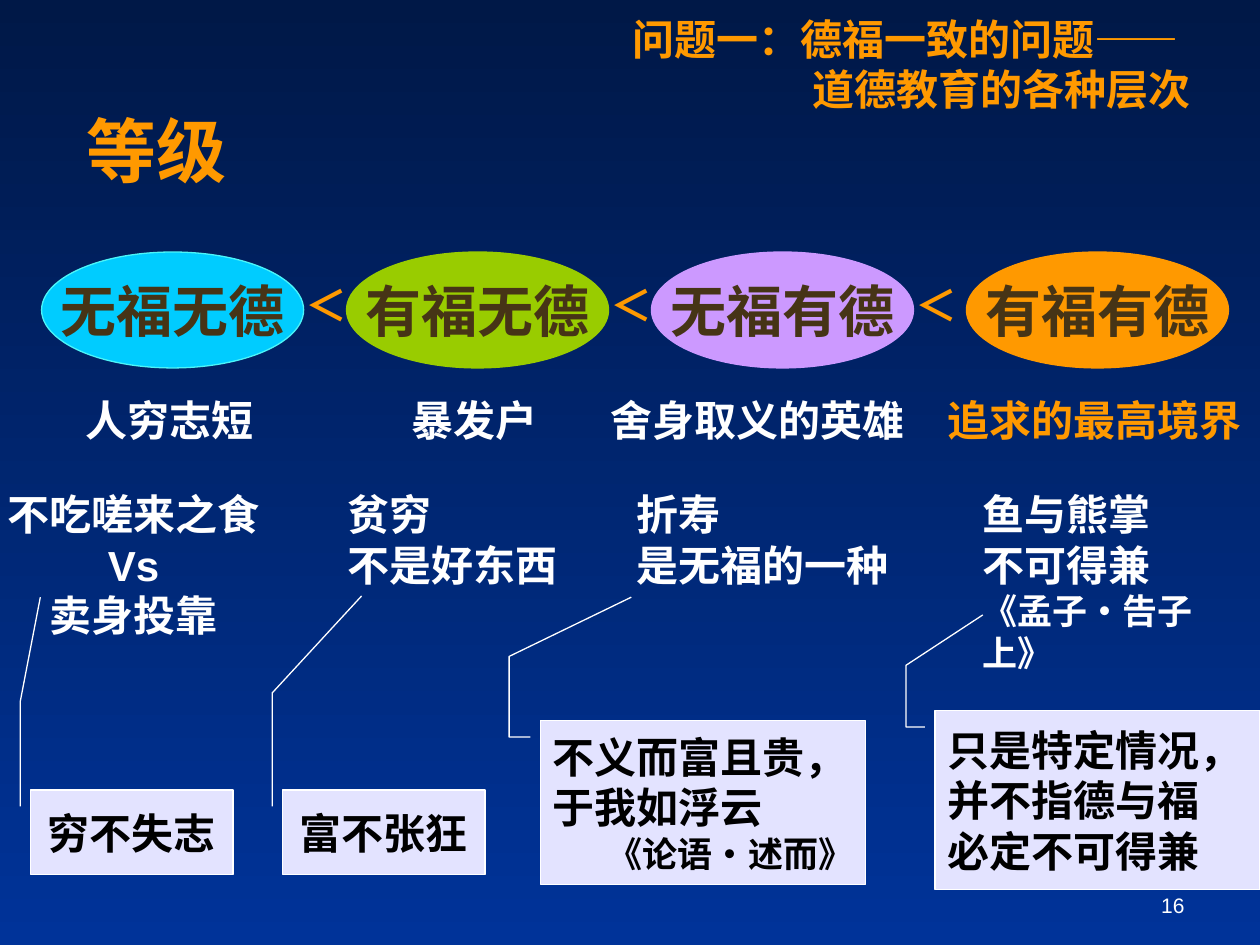
import pptx
import pptx.util
import pptx.dml.color
import pptx.enum.shapes
import pptx.enum.text
import pptx.oxml

RGB = pptx.dml.color.RGBColor
Inches, Pt = pptx.util.Inches, pptx.util.Pt
Kind = pptx.enum.shapes.MSO_SHAPE
Align = pptx.enum.text.PP_ALIGN
Anchor = pptx.enum.text.MSO_ANCHOR
LEFT, MID, RIGHT = Align.LEFT, Align.CENTER, Align.RIGHT

NIGHT, NAVY = RGB(0x00, 0x18, 0x47), RGB(0x00, 0x33, 0x99)
WHITE, BLACK = RGB(0xFF, 0xFF, 0xFF), RGB(0, 0, 0)
ORANGE, BROWN = RGB(0xFF, 0x99, 0x00), RGB(0x46, 0x34, 0x16)
CYAN, AQUA = RGB(0x00, 0xCC, 0xFF), RGB(0x4C, 0xF4, 0xF8)
GREEN, LILAC = RGB(0x99, 0xCC, 0x00), RGB(0xCC, 0x99, 0xFF)
PALE = RGB(0xE3, 0xE3, 0xFF)
LATIN, HAN, HEAD = "Arial", "Noto Sans CJK SC", "Noto Sans CJK JP"

# A line is (text, size, align); text may be a list of (part, font) runs.
TOPIC = ["问题一：德福一致的问题——", "道德教育的各种层次"]
INDENT = 1.43

# left, label, fill, outline
GRADES = [
    (0.33, "无福无德", CYAN, AQUA),
    (2.75, "有福无德", GREEN, GREEN),
    (5.17, "无福有德", LILAC, LILAC),
    (7.67, "有福有德", ORANGE, ORANGE),
]
OVAL = (2.08, 0.92)
STEP = 2.0  # from an oval's left to the sign after it

# left, width, text, colour
TYPES = [
    (0.58, 1.67, "人穷志短", WHITE),
    (3.17, 1.67, "暴发户", WHITE),
    (4.75, 2.58, "舍身取义的英雄", WHITE),
    (7.42, 2.58, "追求的最高境界", ORANGE),
]

# left, height, lines
VIEWS = [
    (-0.11, 1.3, [("不吃嗟来之食", 24, MID), ("Vs", 24, MID),
                  ("卖身投靠", 24, MID)]),
    (2.66, 0.9, [("贫穷", 24, LEFT), ("不是好东西", 24, LEFT)]),
    (4.95, 0.9, [("折寿", 24, LEFT), ("是无福的一种", 24, LEFT)]),
    (7.7, 1.57, [("鱼与熊掌", 24, LEFT), ("不可得兼", 24, LEFT),
                 ([("《孟子", LATIN), ("·告子上", HAN), ("》", LATIN)], 20, LEFT)]),
]

# box, elbow, tip, lines
NOTES = [
    ((0.24, 6.27, 1.61, 0.67), (0.16, 5.57), (0.32, 4.74),
     [("穷不失志", 24, MID)]),
    ((4.29, 5.72, 2.58, 1.3), (4.04, 5.21), (5.01, 4.74),
     [("不义而富且贵，于我如浮云", 24, LEFT),
      ([("《论语", LATIN), ("·", HAN), ("述而》", LATIN)], 20, RIGHT)]),
    ((2.24, 6.27, 1.61, 0.67), (2.16, 5.5), (2.87, 4.73),
     [("富不张狂", 24, MID)]),
    ((7.42, 5.64, 2.58, 1.42), (7.19, 5.28), (7.8, 4.88),
     [("只是特定情况，并不指德与福\v必定不可得兼", 24, LEFT)]),
]
GAP, DROP = 0.08, 0.13  # where a leader starts, beside its box


def set_east(run, name):
    """Name the East Asian font of a run."""
    mark = pptx.oxml.parse_xml(
        '<a:ea xmlns:a="http://schemas.openxmlformats.org/drawingml/2006/main"'
        f' typeface="{name}"/>')
    run.font.name = name
    run.font._element.find(pptx.oxml.ns.qn("a:latin")).addnext(mark)


def write(shape, lines, color, anchor=Anchor.TOP, wrap=True, bold=True):
    frame = shape.text_frame
    frame.word_wrap = wrap
    frame.vertical_anchor = anchor
    for i, (text, size, align) in enumerate(lines):
        para = frame.add_paragraph() if i else frame.paragraphs[0]
        para.alignment = align
        if isinstance(text, str):
            para.text = text
        else:
            for part, name in text:
                run = para.add_run()
                run.text = part
                if name != LATIN:
                    set_east(run, name)
        font = para.font
        font.name, font.size, font.bold = LATIN, Pt(size), bold
        font.color.rgb = color
    return frame


def add_text(slide, box, lines, color, **opts):
    shape = slide.shapes.add_textbox(*map(Inches, box))
    return write(shape, lines, color, **opts)


def add_solid(slide, kind, box, fill, edge):
    shape = slide.shapes.add_shape(kind, *map(Inches, box))
    shape.shadow.inherit = False
    shape.fill.solid()
    shape.fill.fore_color.rgb = fill
    shape.line.color.rgb = edge
    shape.line.width = Pt(0.75)
    return shape


def add_note(slide, box, elbow, tip, lines):
    left, top, width, height = box
    shape = add_solid(slide, Kind.LINE_CALLOUT_3, box, PALE, WHITE)
    start = (left - GAP, top + DROP)
    leader = [start, (elbow[0], start[1]), elbow, tip]
    for i, (x, y) in enumerate(leader):
        shape.adjustments[2 * i] = (y - top) / height
        shape.adjustments[2 * i + 1] = (x - left) / width
    write(shape, lines, BLACK, anchor=Anchor.MIDDLE)


def main():
    deck = pptx.Presentation()
    deck.slide_width, deck.slide_height = Inches(10), Inches(7.5)
    slide = deck.slides.add_slide(deck.slide_layouts[6])

    back = slide.background.fill
    back.gradient()
    back.gradient_angle = 270
    for stop, color in zip(back.gradient_stops, (NIGHT, NAVY)):
        stop.color.rgb = color

    add_text(slide, (7.17, 6.83, 2.33, 0.5), [("16", 12, RIGHT)], WHITE,
             anchor=Anchor.BOTTOM, bold=False)
    title = add_text(slide, (0.59, 0.67, 4.83, 1.03), [([("等级", HEAD)], 40, LEFT)],
                     ORANGE, anchor=Anchor.MIDDLE)
    topic = add_text(slide, (4.92, 0.17, 5, 0.67),
                     [(text, 24, LEFT) for text in TOPIC],
                     ORANGE, anchor=Anchor.MIDDLE)
    props = topic.paragraphs[1]._p.get_or_add_pPr()
    props.set("marL", str(Inches(INDENT)))

    for left, label, fill, edge in GRADES:
        oval = add_solid(slide, Kind.OVAL, (left, 2, *OVAL), fill, edge)
        write(oval, [(label, 32, MID)], BROWN, anchor=Anchor.MIDDLE, wrap=False)
    for left, *_ in GRADES[:-1]:
        add_text(slide, (left + STEP, 2.17, 0.5, 0.5), [("＜", 24, LEFT)], ORANGE)
    for left, width, text, color in TYPES:
        add_text(slide, (left, 3.08, width, 0.5), [(text, 24, LEFT)], color)
    for left, height, lines in VIEWS:
        add_text(slide, (left, 3.83, 2.34, height), lines, WHITE)
    for note in NOTES:
        add_note(slide, *note)

    deck.save("out.pptx")


if __name__ == "__main__":
    main()
